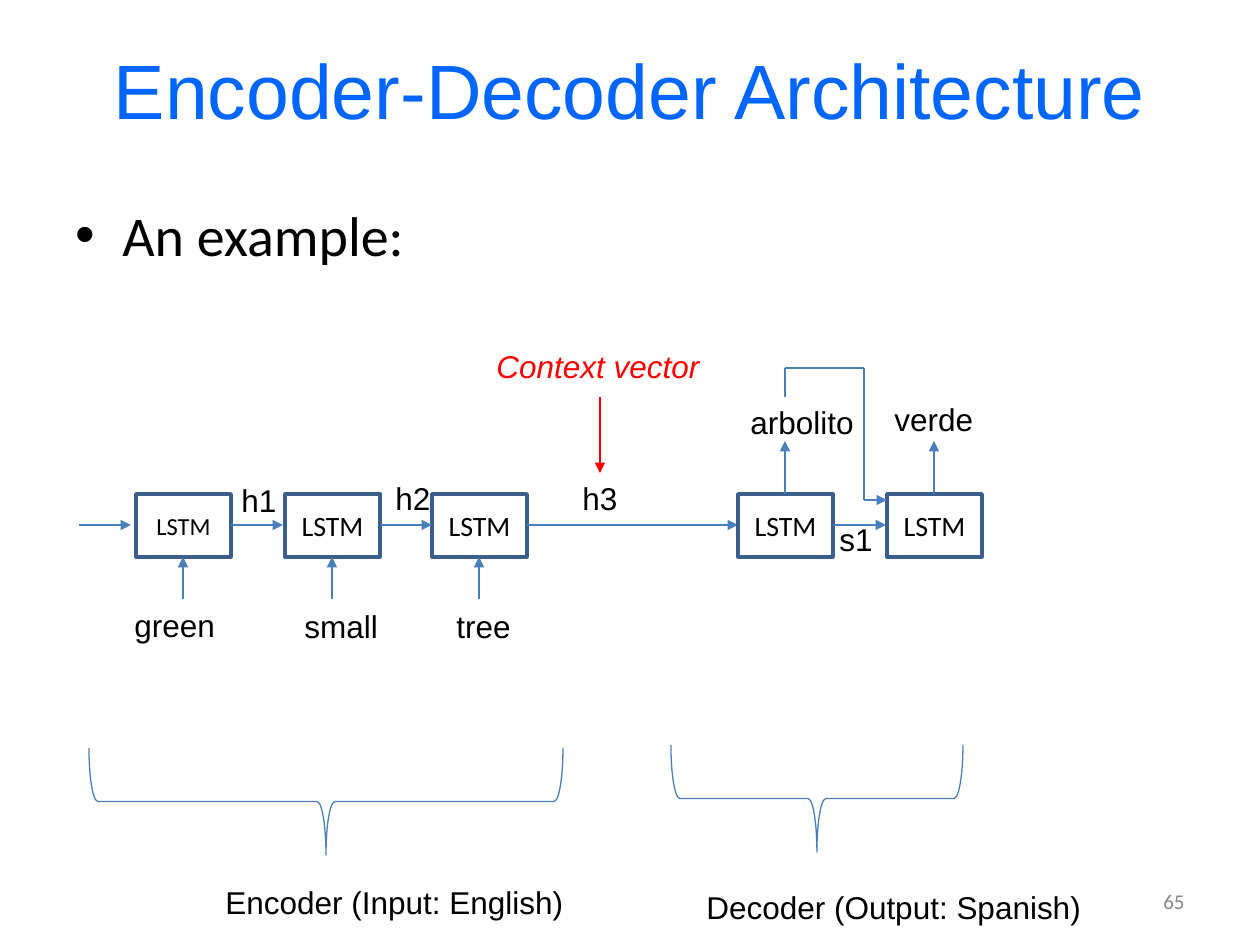
from itertools import pairwise

from lxml import etree
from pptx import Presentation
from pptx.dml.color import RGBColor
from pptx.enum.shapes import MSO_CONNECTOR, MSO_SHAPE
from pptx.enum.text import MSO_ANCHOR, PP_ALIGN
from pptx.oxml.ns import qn
from pptx.util import Emu, Pt

STRAIGHT = MSO_CONNECTOR.STRAIGHT
RECTANGLE, LEFT_BRACE = MSO_SHAPE.RECTANGLE, MSO_SHAPE.LEFT_BRACE
TOP, MIDDLE = MSO_ANCHOR.TOP, MSO_ANCHOR.MIDDLE
LEFT, CENTER, RIGHT = PP_ALIGN.LEFT, PP_ALIGN.CENTER, PP_ALIGN.RIGHT

PX_PER_INCH = 126
COLORS = {"title": "0066FF", "text": "000000", "number": "898989",
          "line": "4B7EBC", "cell": "3A5F8C", "context": "FF0000"}
CELL_WIDTH, CELL_HEIGHT = 95, 63
LABEL_HEIGHT = 50
BRACE_DEPTH = 107


def px(length):
    return Emu(round(length * 914400 / PX_PER_INCH))


def color(name):
    return RGBColor.from_string(COLORS[name])


def write(shape, text, size=18, font="Arial", fill="text", align=LEFT,
          anchor=TOP, wrap=False, italic=False, bullet_indent=0):
    frame = shape.text_frame
    frame.word_wrap = wrap
    frame.vertical_anchor = anchor
    para = frame.paragraphs[0]
    para.alignment = align
    if bullet_indent:
        properties = para._p.get_or_add_pPr()
        properties.set("marL", str(px(bullet_indent)))
        properties.set("indent", str(-px(bullet_indent)))
        etree.SubElement(properties, qn("a:buFont")).set("typeface", "Arial")
        etree.SubElement(properties, qn("a:buChar")).set("char", "•")
    span = para.add_run()
    span.text = text
    span.font.size = Pt(size)
    span.font.name = font
    span.font.italic = italic
    span.font.color.rgb = color(fill)


def add_text(page, box, text, **style):
    write(page.shapes.add_textbox(*map(px, box)), text, **style)


def add_outline(page, kind, box, line, width):
    shape = page.shapes.add_shape(kind, *map(px, box))
    shape.shadow.inherit = False
    shape.fill.background()
    shape.line.color.rgb = color(line)
    shape.line.width = Pt(width)
    return shape


def add_line(page, start, end, line="line", arrow=True):
    connector = page.shapes.add_connector(STRAIGHT, *map(px, (*start, *end)))
    connector.line.color.rgb = color(line)
    connector.line.width = Pt(0.75)
    etree.SubElement(connector._element.spPr, qn("a:effectLst"))
    if arrow:
        tail = etree.SubElement(connector.line._get_or_add_ln(), qn("a:tailEnd"))
        tail.set("type", "triangle")


def add_cell(page, left, top, size=16):
    cell = add_outline(page, RECTANGLE, (left, top, CELL_WIDTH, CELL_HEIGHT), "cell", 2)
    write(cell, "LSTM", size=size, font="Calibri", align=CENTER, anchor=MIDDLE, wrap=True)


def add_brace(page, left, top, width):
    """Draw a brace that opens upwards; its unrotated frame shares the centre."""
    shift = (width - BRACE_DEPTH) / 2
    brace = add_outline(page, LEFT_BRACE,
                        (left + shift, top - shift, BRACE_DEPTH, width), "line", 0.75)
    brace.rotation = 270


def add_labels(page, box, labels):
    """Place (text, left, top, width) labels relative to the box."""
    for text, left, top, width in labels:
        add_text(page, (box[0] + left, box[1] + top, width, LABEL_HEIGHT), text)


def add_encoder(page, box):
    left, top, width, _ = box
    cell_top, word_top = top + 21, top + 126
    middle = cell_top + CELL_HEIGHT // 2
    cells = [left + offset for offset in (57, 206, 353)]
    for cell, size in zip(cells, (14, 16, 16)):
        add_cell(page, cell, cell_top, size)
        center = cell + CELL_WIDTH // 2
        add_line(page, (center, word_top), (center, cell_top + CELL_HEIGHT))
    starts = [left] + [cell + CELL_WIDTH for cell in cells]
    ends = [left + 52, left + 204, cells[2], left + width]
    for start, end in zip(starts, ends):
        add_line(page, (start, middle), (end, middle))
    add_labels(page, box, [
        ("green", 43, 127, 107), ("small", 213, 128, 100), ("tree", 365, 128, 81),
        ("h1", 150, 2, 60), ("h2", 304, 0, 60), ("h3", 491, 0, 60),
        ("Encoder (Input: English)", 134, 404, 364)])
    add_brace(page, left + 10, top + 275, 474)


def add_decoder(page, box):
    left, top, _, _ = box
    cell_top = top + 126
    middle = cell_top + CELL_HEIGHT // 2
    first, second = left + 67, left + 216
    for cell in (first, second):
        add_cell(page, cell, cell_top)
        center = cell + CELL_WIDTH // 2
        add_line(page, (center, cell_top), (center, top + 73))
    add_line(page, (first + CELL_WIDTH, middle), (second - 1, middle))

    output, turn, entry = first + CELL_WIDTH // 2, left + 193, top + 132
    feedback = [(output, top + 29), (output, top), (turn, top),
                (turn, entry), (second, entry)]
    for start, end in pairwise(feedback):
        add_line(page, start, end, arrow=end == feedback[-1])
    add_labels(page, box, [
        ("arbolito", 67, 29, 130), ("verde", 211, 26, 105), ("s1", 156, 146, 59),
        ("Decoder (Output: Spanish)", 23, 514, 403)])
    add_brace(page, left, top + 377, 292)


def add_context(page, box):
    left, top, width, height = box
    add_text(page, (left, top, width, LABEL_HEIGHT), "Context vector",
             fill="context", italic=True)
    add_line(page, (left + 116, top + 56), (left + 116, top + height), line="context")


def main():
    deck = Presentation()
    deck.slide_width, deck.slide_height = px(1260), px(945)
    page = deck.slides.add_slide(deck.slide_layouts[6])
    add_text(page, (63, 10, 1134, 158), "Encoder-Decoder Architecture", size=44,
             fill="title", align=CENTER, anchor=MIDDLE, wrap=True)
    add_text(page, (63, 194, 1134, 714), "An example:", size=32, font="Calibri",
             wrap=True, bullet_indent=47)
    add_text(page, (903, 876, 294, 50), "65", size=12, font="Calibri",
             fill="number", align=RIGHT, anchor=MIDDLE, wrap=True)
    add_encoder(page, (79, 473, 659, 454))
    add_decoder(page, (671, 368, 426, 564))
    add_context(page, (484, 341, 231, 132))
    deck.save("out.pptx")


if __name__ == "__main__":
    main()
